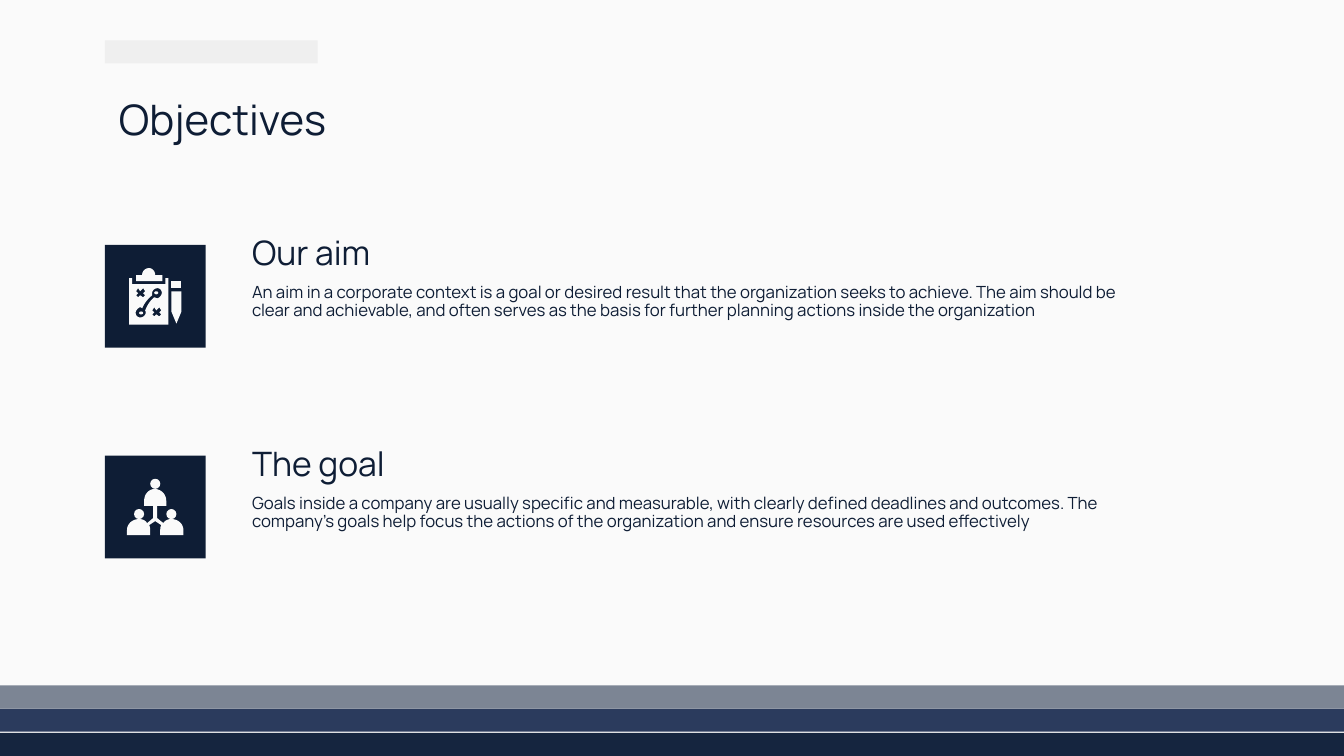
from dataclasses import dataclass
import pptx
import pptx.dml.color
import pptx.enum.shapes
import pptx.enum.text
import pptx.util

PX = 9144  # EMU per px, 100 px to the inch
WIDTH, HEIGHT = 1333, 750
FONT = "Manrope"
COLORS = {"paper": "FAFAFA", "navy": "0E1D35", "tag": "EFEFEF",
          "slate": "7C8594", "blue": "2B3B5D", "deep": "15253F"}
KINDS = pptx.enum.shapes.MSO_SHAPE
ANCHORS = pptx.enum.text.MSO_ANCHOR


@dataclass
class Box:
    x: int
    y: int
    w: int
    h: int

    def emu(self) -> list[int]:
        return [v * PX for v in (self.x, self.y, self.w, self.h)]


@dataclass
class Icon:
    dots: list[Box]
    outlines: list[list[str]]  # each shape is a list of contours


@dataclass
class Goal:
    top: int
    head: str
    body: str
    icon: Icon


def cross(x: int, y: int) -> str:
    steps = [(7, 0), (9, 3), (7, 5), (9, 7), (7, 9), (4, 7),
             (2, 9), (0, 7), (2, 5), (0, 3), (2, 0), (4, 3)]
    return " L ".join(f"{x + dx} {y + dy}" for dx, dy in steps)


# Icon outlines: L joins straight, C is a cubic curve; y runs from the tile top
PLAN = Icon(
    [Box(138, 66, 4, 3), Box(153, 46, 4, 3)],
    [[cross(135, 43), cross(151, 62),
      "156 43 C 157 43 158 43 159 44 C 161 46 161 49 159 51 C 158 52 157 53 156 53 "
      "C 155 53 154 52 153 52 C 149 55 146 60 144 65 C 146 68 143 72 139 72 "
      "C 135 72 133 67 136 64 C 137 63 138 62 139 62 C 140 62 140 62 141 63 "
      "C 143 58 147 53 151 50 C 150 46 153 43 156 43",
      "128 33 L 128 79 L 167 79 L 167 33 L 164 33 L 164 39 L 131 39 L 131 33"],
     ["148 23 C 144 23 141 26 141 30 L 135 30 L 135 36 L 161 36 L 161 30 L 154 30 "
      "C 154 26 151 23 148 23"],
     ["170 46 L 170 66 L 175 78 L 180 66 L 180 46"],
     ["170 36 L 170 43 L 180 43 L 180 36"]])
TEAM = Icon(
    [Box(149, 23, 10, 10), Box(133, 53, 10, 10), Box(165, 53, 10, 10)],
    [["154 33 C 148 33 143 38 143 45 L 143 50 L 152 50 L 152 62 L 146 67 "
      "C 144 64 141 63 138 63 C 131 63 126 68 126 74 L 126 79 L 149 79 L 149 74 "
      "C 149 72 149 71 148 69 L 154 65 L 160 69 C 159 71 159 72 159 74 L 159 79 "
      "L 182 79 L 182 74 C 182 68 177 63 170 63 C 167 63 164 64 162 67 L 156 62 "
      "L 156 50 L 165 50 L 165 45 C 165 39 161 34 154 33"]])

GOALS = [
    Goal(243, "Our aim", "An aim in a corporate context is a goal or desired result that the "
         "organization seeks to achieve. The aim should be clear and achievable, and often "
         "serves as the basis for further planning actions inside the organization", PLAN),
    Goal(452, "The goal", "Goals inside a company are usually specific and measurable, with "
         "clearly defined deadlines and outcomes. The company’s goals help focus the actions "
         "of the organization and ensure resources are used effectively", TEAM)]


def rgb(name: str) -> pptx.dml.color.RGBColor:
    return pptx.dml.color.RGBColor.from_string(COLORS[name])


def paint(shape, color: str) -> None:
    shape.fill.solid()
    shape.fill.fore_color.rgb = rgb(color)
    shape.line.fill.background()
    shape.shadow.inherit = False


def block(shapes, box: Box, color: str, kind=KINDS.RECTANGLE) -> None:
    paint(shapes.add_shape(kind, *box.emu()), color)


def trace(contour: str, top: int) -> list[tuple[int, int]]:
    """Turn a contour into points in EMU, each curve cut into eight steps."""
    points = []
    for part in contour.replace("L", "|").replace("C", "|C").split("|"):
        nums = [int(n) for n in part.replace("C", "").split()]
        knots = [(x * PX, (y + top) * PX) for x, y in zip(nums[::2], nums[1::2])]
        if "C" not in part:
            points += knots
            continue
        a, (b, c, d) = points[-1], knots
        for step in range(1, 9):
            t = step / 8
            s = 1 - t
            points.append(tuple(
                round(s**3 * a[i] + 3 * s * s * t * b[i] + 3 * s * t * t * c[i] + t**3 * d[i])
                for i in (0, 1)))
    return points


def draw(shapes, icon: Icon, top: int) -> None:
    group = shapes.add_group_shape().shapes
    for contours in icon.outlines:
        first, *rest = [trace(c, top) for c in contours]
        pen = group.build_freeform(*first[0], scale=1.0)
        pen.add_line_segments(first[1:], close=True)
        for points in rest:
            pen.move_to(*points[0])
            pen.add_line_segments(points[1:], close=True)
        paint(pen.convert_to_shape(), "paper")
    for dot in icon.dots:
        block(group, Box(dot.x, dot.y + top, dot.w, dot.h), "paper", KINDS.OVAL)


def write(shapes, box: Box, text: str, size: int, anchor=ANCHORS.TOP) -> None:
    frame = shapes.add_textbox(*box.emu()).text_frame
    look = {"word_wrap": True, "vertical_anchor": anchor}
    look.update({f"margin_{side}": 13 * PX for side in ("left", "right", "top", "bottom")})
    for key, value in look.items():
        setattr(frame, key, value)
    line = frame.paragraphs[0]
    line.line_spacing = 0.9
    run = line.add_run()
    run.text = text
    for key, value in {"name": FONT, "size": pptx.util.Pt(size)}.items():
        setattr(run.font, key, value)
    run.font.color.rgb = rgb("navy")


def main() -> None:
    deck = pptx.Presentation()
    deck.slide_width, deck.slide_height = WIDTH * PX, HEIGHT * PX
    slide = deck.slides.add_slide(deck.slide_layouts[6])
    slide.background.fill.solid()
    slide.background.fill.fore_color.rgb = rgb("paper")
    shapes = slide.shapes

    # Footer stripes and top tag
    for i, color in enumerate(("deep", "blue", "slate")):
        block(shapes, Box(0, 727 - i * 24 + i // 2, WIDTH, 23), color)
    block(shapes, Box(104, 40, 211, 23), "tag")

    # Title and goals
    write(shapes, Box(105, 79, 1123, 84), "Objectives", 30, ANCHORS.MIDDLE)
    for goal in GOALS:
        block(shapes, Box(104, goal.top, 100, 102), "navy")
        draw(shapes, goal.icon, goal.top)
        write(shapes, Box(237, goal.top - 11, 914, 52), goal.head, 24, ANCHORS.BOTTOM)
        write(shapes, Box(237, goal.top + 26, 914, 102), goal.body, 12)
    deck.save("out.pptx")


if __name__ == "__main__":
    main()
